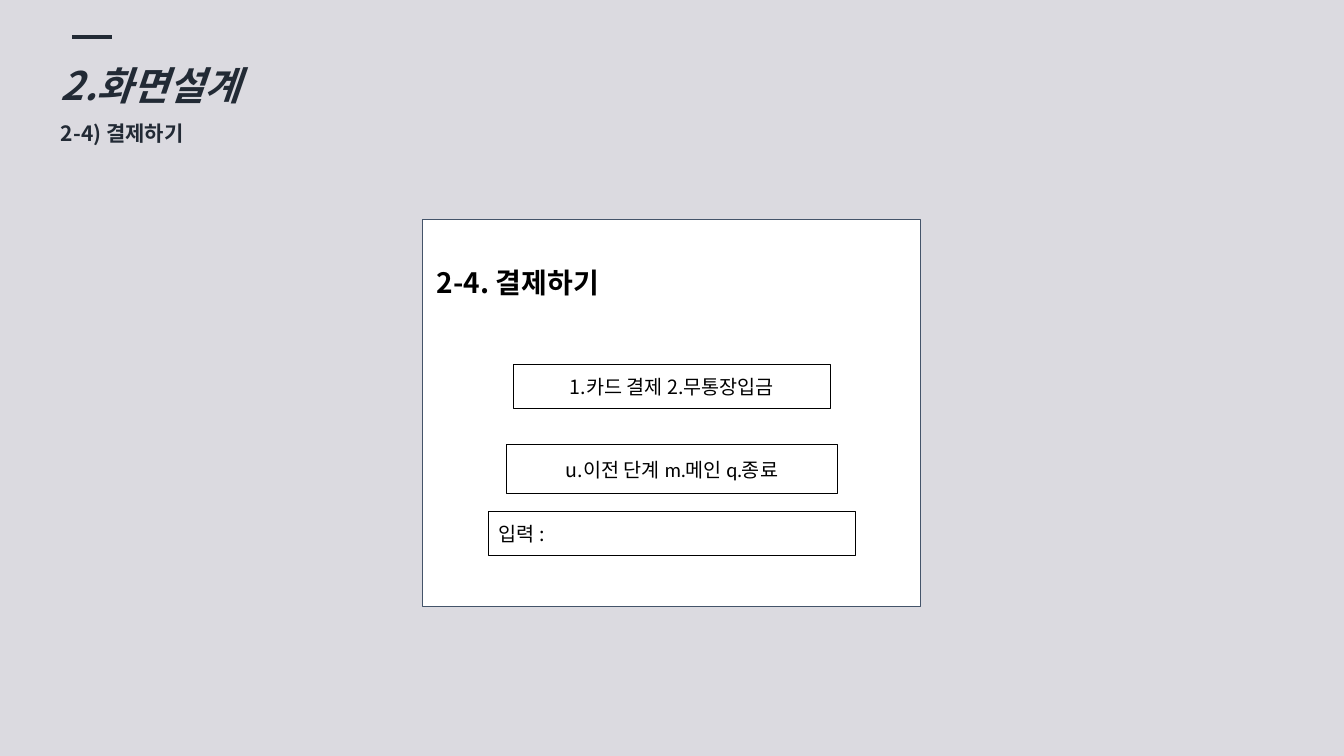
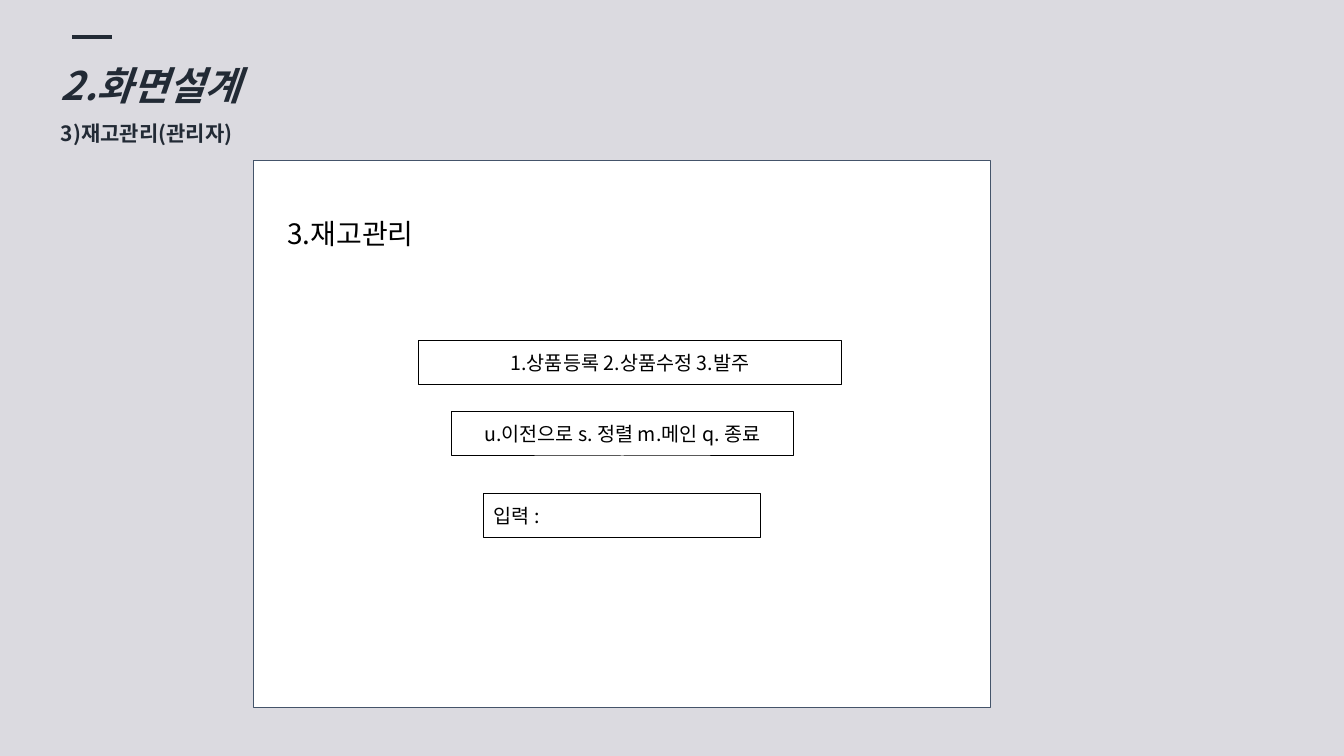
from lxml import etree
from pptx import Presentation
from pptx.dml.color import RGBColor
from pptx.enum import shapes, text
from pptx.oxml import ns
from pptx.util import Pt

BACKGROUND = "DBDAE0"
NAVY = "222A35"
SLATE = "44546A"
WHITE = "FFFFFF"
BLACK = "000000"
FONT = "Noto Sans CJK KR"


def rgb(value):
    return RGBColor.from_string(value)


class Deck:
    def __init__(self):
        self.prs = Presentation()
        self.prs.slide_width, self.prs.slide_height = Pt(960), Pt(540)
        self.slide = None

    def add_slide(self, subtitle):
        """Start a slide with the shared background, accent line and titles."""
        self.slide = self.prs.slides.add_slide(self.prs.slide_layouts[6])
        fill = self.slide.background.fill
        fill.solid()
        fill.fore_color.rgb = rgb(BACKGROUND)
        tf = self.text_box(36.5, 24.5, 310, 82, inset=3.6)
        self.set_text(tf.paragraphs[0], "2.화면설계", 28, NAVY, bold=True, italic=True)
        self.set_text(tf.add_paragraph(), subtitle, 15, NAVY, bold=True)
        for p in tf.paragraphs:
            p.line_spacing = 1.5
        self.accent(51.5, 26.5, 28.5)

    def accent(self, left, top, width):
        line = self.slide.shapes.add_connector(
            shapes.MSO_CONNECTOR.STRAIGHT, Pt(left), Pt(top), Pt(left + width), Pt(top))
        line.line.color.rgb = rgb(NAVY)
        line.line.width = Pt(3)
        etree.SubElement(line._element.spPr, ns.qn("a:effectLst"))

    def frame(self, sp, inset):
        tf = sp.text_frame
        tf.word_wrap = True
        tf.vertical_anchor = text.MSO_ANCHOR.MIDDLE
        tf.margin_left = tf.margin_right = Pt(7.2)
        tf.margin_top = tf.margin_bottom = Pt(inset)
        return tf

    def text_box(self, left, top, width, height, inset=7.2):
        sp = self.slide.shapes.add_textbox(Pt(left), Pt(top), Pt(width), Pt(height))
        return self.frame(sp, inset)

    def set_text(self, p, content, size, color, bold=False, italic=False):
        """Fill a paragraph; content is a string or (text, size, font) runs."""
        p.font.size = Pt(size)
        p.font.bold, p.font.italic = bold, italic
        p.font.color.rgb = rgb(color)
        p.font.name = FONT
        props = p._p.pPr.find(ns.qn("a:defRPr"))
        etree.SubElement(props, ns.qn("a:ea"), typeface=FONT)
        if isinstance(content, str):
            p.add_run().text = content
            return
        for words, run_size, font in content:
            r = p.add_run()
            r.text = words
            r.font.size = Pt(run_size)
            r.font.name = font

    def rectangle(self, left, top, width, height, line, fill=None):
        sp = self.slide.shapes.add_shape(
            shapes.MSO_SHAPE.RECTANGLE, Pt(left), Pt(top), Pt(width), Pt(height))
        sp.shadow.inherit = False
        if fill:
            sp.fill.solid()
            sp.fill.fore_color.rgb = rgb(fill)
        else:
            sp.fill.background()
        sp.line.color.rgb = rgb(line)
        sp.line.width = Pt(0.75)
        return sp

    def panel(self, left, top, width, height):
        self.rectangle(left, top, width, height, SLATE, WHITE)

    def heading(self, left, top, width, content, bold=False):
        tf = self.text_box(left, top, width, 39)
        self.set_text(tf.paragraphs[0], content, 20, BLACK, bold)

    def field(self, left, top, width, content, height=31.5, centered=True):
        """Outlined row of the mocked-up screen."""
        sp = self.rectangle(left, top, width, height, BLACK)
        p = self.frame(sp, 7.2).paragraphs[0]
        p.alignment = text.PP_ALIGN.CENTER if centered else text.PP_ALIGN.LEFT
        self.set_text(p, content, 14, BLACK)

    def prompt(self, left, top, width):
        self.field(left, top, width, "입력 :", centered=False)


def main():
    deck = Deck()

    deck.add_slide("2-4) 결제하기")
    deck.panel(301.75, 156.5, 356, 276.5)
    deck.heading(305, 182, 262, "2-4. 결제하기", bold=True)
    deck.field(367, 260.5, 226, "1.카드 결제 2.무통장입금")
    navigation = [("u.이전 단계", 14, FONT), (" ", 16, FONT), ("m.메인 q.종료", 14, "Lato")]
    deck.field(361.5, 317.5, 237, navigation, height=35)
    deck.prompt(349, 365.25, 262)

    deck.add_slide("3)재고관리(관리자)")
    deck.panel(181.25, 114.5, 526.5, 391)
    deck.heading(198, 147, 324, "3.재고관리")
    deck.field(299, 243.25, 302, "1.상품등록 2.상품수정 3.발주")
    deck.field(322.5, 294.25, 244, "u.이전으로 s. 정렬 m.메인 q. 종료")
    deck.prompt(345.5, 352.25, 198)

    deck.prs.save("out.pptx")


if __name__ == "__main__":
    main()
